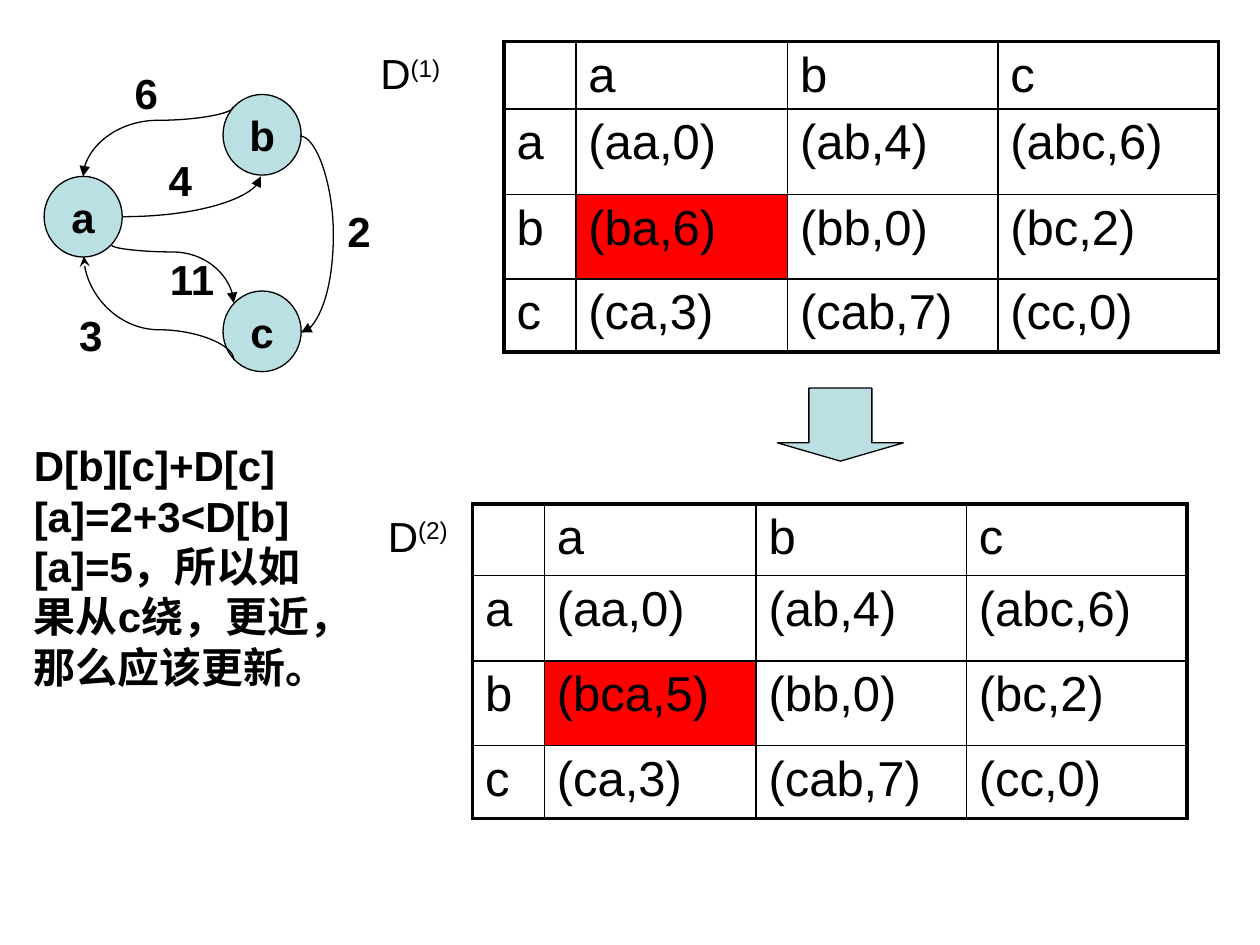
from dataclasses import dataclass
from typing import Any

from pptx import Presentation
from pptx import util as u
from pptx.dml.color import RGBColor
from pptx.enum import shapes, text
from pptx.oxml.ns import qn
from lxml import etree

COLUMNS, ROWS = 100, 75
WIDTH, HEIGHT = u.Inches(10), u.Inches(7.5)
BLACK, PALE_BLUE, RED = "000000", "BBE0E3", "FF0000"
NODE_SIZE = (6.2, 6.4)
TABLE_COLUMNS = (5.7, 16.8, 16.7, 17.5)
TABLE_ROWS = (5, 6.8, 6.7, 5.8)
LABEL_SIZE = (5.3, 5.6)


@dataclass(frozen=True)
class Node:
    name: str
    left: float
    top: float


@dataclass(frozen=True)
class Edge:
    left: float
    top: float
    width: float
    height: float
    preset: str = "curvedConnector3"
    flips: str = ""
    turn: int = 0
    bend: float | None = None
    arrowhead: tuple[str, str] = ("tailEnd", "triangle")


@dataclass(frozen=True)
class Weight:
    value: str
    left: float
    top: float
    width: float = LABEL_SIZE[0]


@dataclass(frozen=True)
class Step:
    number: int
    left: float
    top: float
    label_left: float
    changed: str


NODES = (Node("a", 3.5, 14), Node("b", 17.7, 7.5), Node("c", 17.7, 23.1))
EDGES = (
    Edge(9.7, 14, 11, 3.2, "curvedConnector2", "v"),
    Edge(9.8, 5.3, 5.5, 11.9, flips="hv", turn=270, bend=0.19),
    Edge(11.4, 16.9, 4.6, 9.7, flips="h", turn=270, bend=0.12),
    Edge(8.5, 18.5, 8.2, 11.9, flips="h", turn=270, bend=0.71, arrowhead=("headEnd", "stealth")),
    Edge(23.8, 10.8, 0.1, 15.6, bend=27),
)
WEIGHTS = (
    Weight("11", 12.5, 19.6, 6.1),
    Weight("6", 9.7, 4.9),
    Weight("4", 12.4, 11.8),
    Weight("2", 26.6, 15.8),
    Weight("3", 5.3, 24.1),
)
STEPS = (Step(1, 40, 3.3, 29.2, "(ba,6)"), Step(2, 37.5, 40, 29.8, "(bca,5)"))
EXPLANATION = "D[b][c]+D[c][a]=2+3<D[b][a]=5，所以如果从c绕，更近，那么应该更新。"


def across(columns: float) -> u.Emu:
    """Turn grid columns into a length."""
    return u.Emu(round(WIDTH * columns / COLUMNS))


def down(rows: float) -> u.Emu:
    """Turn grid rows into a length."""
    return u.Emu(round(HEIGHT * rows / ROWS))


def box(left: float, top: float, width: float, height: float) -> tuple:
    """Turn a grid rectangle into lengths."""
    return across(left), down(top), across(width), down(height)


def color(value: str) -> RGBColor:
    """Turn a hex string into a colour."""
    return RGBColor.from_string(value)


def style_paragraph(paragraph: Any, size: int, bold: bool = False, space: int = 0) -> None:
    """Set the font and the space before, in percent of a line."""
    paragraph.font.name = "Arial"
    paragraph.font.size = u.Pt(size)
    paragraph.font.bold = bold
    paragraph.font.color.rgb = color(BLACK)
    if space:
        paragraph.space_before = u.Pt(0)
        before = paragraph._p.pPr.find(qn("a:spcBef"))
        before.clear()
        etree.SubElement(before, qn("a:spcPct"), val=str(space * 1000))


def add_text(parent: Any, words: str, area: tuple, bold: bool = True, raised: str = "") -> None:
    """Add a wrapped text box, with an optional superscript."""
    frame = parent.add_textbox(*box(*area)).text_frame
    frame.word_wrap = True
    paragraph = frame.paragraphs[0]
    paragraph.add_run().text = words
    if raised:
        run = paragraph.add_run()
        run.text = raised
        run.font._element.set("baseline", "30000")
    style_paragraph(paragraph, 24, bold, 50)


def add_figure(parent: Any, kind: Any, area: tuple) -> Any:
    """Add a pale blue shape with a thin outline."""
    shape = parent.add_shape(kind, *box(*area))
    shape.shadow.inherit = False
    shape.fill.solid()
    shape.fill.fore_color.rgb = color(PALE_BLUE)
    shape.line.color.rgb = color(BLACK)
    shape.line.width = u.Pt(0.75)
    return shape


def add_node(parent: Any, node: Node) -> None:
    """Add a graph node with its name."""
    shape = add_figure(parent, shapes.MSO_SHAPE.OVAL, (node.left, node.top, *NODE_SIZE))
    frame = shape.text_frame
    frame.text = node.name
    frame.word_wrap = False
    frame.vertical_anchor = text.MSO_ANCHOR.MIDDLE
    frame.paragraphs[0].alignment = text.PP_ALIGN.CENTER
    style_paragraph(frame.paragraphs[0], 24, True)


def add_edge(parent: Any, edge: Edge) -> None:
    """Add a curved connector with one arrowhead."""
    xs = [across(edge.left), across(edge.left + edge.width)]
    ys = [down(edge.top), down(edge.top + edge.height)]
    if "h" in edge.flips:
        xs.reverse()
    if "v" in edge.flips:
        ys.reverse()
    connector = parent.add_connector(shapes.MSO_CONNECTOR.CURVE, xs[0], ys[0], xs[1], ys[1])
    connector.line.color.rgb = color(BLACK)
    connector.line.width = u.Pt(0.75)
    properties = connector._element.spPr
    if edge.turn:
        properties.find(qn("a:xfrm")).set("rot", str(edge.turn * 60000))
    geometry = properties.find(qn("a:prstGeom"))
    geometry.set("prst", edge.preset)
    if edge.bend is not None:
        guides = geometry.find(qn("a:avLst"))
        etree.SubElement(guides, qn("a:gd"), name="adj1", fmla=f"val {round(edge.bend * 100000)}")
    end, kind = edge.arrowhead
    etree.SubElement(properties.find(qn("a:ln")), qn(f"a:{end}"), type=kind)
    etree.SubElement(properties, qn("a:effectLst"))


def set_border(cell: Any, side: str, points: float) -> None:
    """Draw one side of a cell in black."""
    line = etree.SubElement(cell._tc.get_or_add_tcPr(), qn(f"a:ln{side}"), w=str(u.Pt(points)))
    fill = etree.SubElement(line, qn("a:solidFill"))
    etree.SubElement(fill, qn("a:srgbClr"), val=BLACK)


def add_distances(parent: Any, step: Step) -> None:
    """Add the distance table of one step and its label."""
    content = (
        ("", "a", "b", "c"),
        ("a", "(aa,0)", "(ab,4)", "(abc,6)"),
        ("b", step.changed, "(bb,0)", "(bc,2)"),
        ("c", "(ca,3)", "(cab,7)", "(cc,0)"),
    )
    area = box(step.left, step.top, sum(TABLE_COLUMNS), sum(TABLE_ROWS))
    table = parent.add_table(len(TABLE_ROWS), len(TABLE_COLUMNS), *area).table
    table.first_row = table.horz_banding = False
    for column, width in zip(table.columns, TABLE_COLUMNS):
        column.width = across(width)
    last = len(content) - 1
    for i, (row, height) in enumerate(zip(table.rows, TABLE_ROWS)):
        row.height = down(height)
        for j, cell in enumerate(row.cells):
            cell.text = content[i][j]
            style_paragraph(cell.text_frame.paragraphs[0], 28, space=20)
            outer = {"L": j == 0, "R": j == last, "T": i == 0, "B": i == last}
            for side, thick in outer.items():
                set_border(cell, side, 2.25 if thick else 1)
            if content[i][j] == step.changed:
                cell.fill.solid()
                cell.fill.fore_color.rgb = color(RED)
            else:
                cell.fill.background()
    add_text(parent, "D", (step.label_left, step.top, 10, 5), False, f"({step.number})")


def main() -> None:
    """Build the slide and save it."""
    presentation = Presentation()
    presentation.slide_width, presentation.slide_height = WIDTH, HEIGHT
    slide = presentation.slides.add_slide(presentation.slide_layouts[6])
    for step in STEPS:
        add_distances(slide.shapes, step)
    add_figure(slide.shapes, shapes.MSO_SHAPE.DOWN_ARROW, (61.7, 30.8, 10, 5.8)).adjustments[1] = 0.25
    add_text(slide.shapes, EXPLANATION, (1.7, 34.4, 25.4, 21.2))
    graph = slide.shapes.add_group_shape().shapes
    for node in NODES:
        add_node(graph, node)
    for edge in EDGES:
        add_edge(graph, edge)
    for weight in WEIGHTS:
        add_text(graph, weight.value, (weight.left, weight.top, weight.width, LABEL_SIZE[1]))
    presentation.save("out.pptx")


if __name__ == "__main__":
    main()
